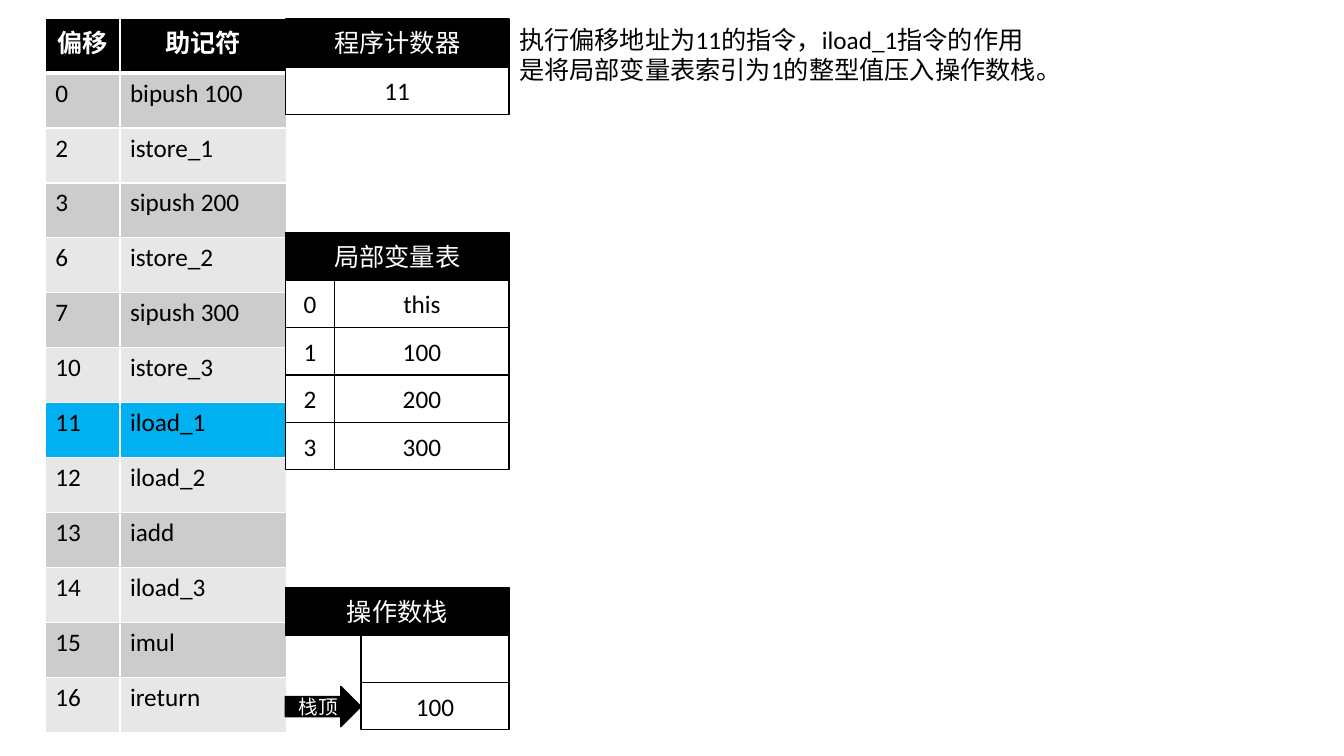
from dataclasses import dataclass
from lxml import etree
from pptx import Presentation
from pptx import util as u
from pptx.dml.color import RGBColor
from pptx.enum import shapes, text
from pptx.oxml import ns

SCALE = 4572
BLACK, WHITE, BLUE = "000000", "FFFFFF", "00B0F0"
BANDS = ("E7E7E7", "CCCCCC")
LEFT, WIDE, HIGH, STEM = 566, 444, 94, 150
INDEX = 98
ACTIVE = "11"


@dataclass
class Box:
    left: int
    top: int
    width: int
    height: int
    label: str
    fill: str = WHITE
    ink: str = BLACK
    size: int = 18
    kind: shapes.MSO_SHAPE = shapes.MSO_SHAPE.RECTANGLE


@dataclass
class Code:
    offset: str
    name: str


CODES = [
    Code("0", "bipush 100"),
    Code("2", "istore_1"),
    Code("3", "sipush 200"),
    Code("6", "istore_2"),
    Code("7", "sipush 300"),
    Code("10", "istore_3"),
    Code("11", "iload_1"),
    Code("12", "iload_2"),
    Code("13", "iadd"),
    Code("14", "iload_3"),
    Code("15", "imul"),
    Code("16", "ireturn"),
]


def px(count: int) -> u.Emu:
    return u.Emu(count * SCALE)


def paint(target, tone: str) -> None:
    target.solid()
    target.fore_color.rgb = RGBColor.from_string(tone)


def write(para, words: str, tone: str, size: int = 18, bold: bool = False) -> None:
    run = para.add_run()
    run.text = words
    run.font.name = "Calibri"
    run.font.size = u.Pt(size)
    run.font.bold = bold
    paint(run.font.fill, tone)


def edge(cell, row: int) -> None:
    props = cell._tc.get_or_add_tcPr()
    widths = {"L": 1, "R": 1, "T": 3 if row == 1 else 1, "B": 3 if row == 0 else 1}
    for place, (side, width) in enumerate(widths.items()):
        line = etree.Element(ns.qn(f"a:ln{side}"), w=str(u.Pt(width)))
        fill = etree.SubElement(line, ns.qn("a:solidFill"))
        etree.SubElement(fill, ns.qn("a:srgbClr"), val=WHITE)
        props.insert(place, line)


def draw_codes(slide) -> None:
    rows = [Code("偏移", "助记符"), *CODES]
    table = slide.shapes.add_table(
        len(rows), 2, px(90), px(36), px(478), px(109 * len(rows))
    ).table
    for col, width in zip(table.columns, (148, 330)):
        col.width = px(width)
    for i, code in enumerate(rows):
        table.rows[i].height = px(109)
        head = i == 0
        tone = BLACK if head else BLUE if code.offset == ACTIVE else BANDS[i % 2]
        for j, words in enumerate((code.offset, code.name)):
            cell = table.cell(i, j)
            paint(cell.fill, tone)
            edge(cell, i)
            para = cell.text_frame.paragraphs[0]
            para.alignment = text.PP_ALIGN.CENTER if head else text.PP_ALIGN.LEFT
            write(para, words, WHITE if head else BLACK, bold=head)


def draw_box(group, box: Box) -> None:
    shape = group.shapes.add_shape(
        box.kind, px(box.left), px(box.top), px(box.width), px(box.height)
    )
    shape.shadow.inherit = False
    paint(shape.fill, box.fill)
    paint(shape.line.fill, BLACK)
    shape.line.width = u.Pt(1)
    frame = shape.text_frame
    frame.word_wrap = True
    frame.margin_left = frame.margin_right = 0
    frame.margin_top = frame.margin_bottom = 0
    frame.vertical_anchor = text.MSO_ANCHOR.MIDDLE
    para = frame.paragraphs[0]
    para.alignment = text.PP_ALIGN.CENTER
    if box.label:
        write(para, box.label, box.ink, box.size)


def draw_group(slide, boxes: list[Box]) -> None:
    group = slide.shapes.add_group_shape()
    for box in boxes:
        draw_box(group, box)


def title(top: int, label: str) -> Box:
    return Box(LEFT, top, WIDE, HIGH, label, BLACK, WHITE)


def draw_locals(slide, top: int) -> None:
    boxes = [title(top, "局部变量表")]
    for i, value in enumerate(("this", "100", "200", "300")):
        y = top + HIGH * (i + 1)
        boxes.append(Box(LEFT + INDEX, y, WIDE - INDEX, HIGH, value))
        boxes.append(Box(LEFT, y, INDEX, HIGH, str(i)))
    draw_group(slide, boxes)


def draw_count(slide, top: int) -> None:
    draw_group(
        slide,
        [title(top, "程序计数器"), Box(LEFT, top + HIGH + 1, WIDE, HIGH, ACTIVE)],
    )


def draw_stack(slide, top: int) -> None:
    boxes = [title(top, "操作数栈")]
    for i, value in enumerate(("", "100"), 1):
        boxes.append(Box(LEFT + STEM, top + HIGH * i, WIDE - STEM, HIGH, value))
    arrow = shapes.MSO_SHAPE.RIGHT_ARROW
    boxes.append(
        Box(LEFT, top + HIGH * 2 + 8, STEM, 80, "栈顶", BLACK, WHITE, 14, arrow)
    )
    draw_group(slide, boxes)


def draw_note(slide, words: str) -> None:
    note = slide.shapes.add_textbox(px(LEFT + WIDE), px(38), px(1084), px(142))
    frame = note.text_frame
    frame.word_wrap = True
    frame.auto_size = text.MSO_AUTO_SIZE.SHAPE_TO_FIT_TEXT
    write(frame.paragraphs[0], words, BLACK)


def main() -> None:
    deck = Presentation()
    deck.slide_width, deck.slide_height = px(2666), px(1500)
    slide = deck.slides.add_slide(deck.slide_layouts[6])
    draw_codes(slide)
    draw_locals(slide, 462)
    draw_count(slide, 38)
    draw_stack(slide, 1166)
    draw_note(
        slide,
        "执行偏移地址为11的指令，iload_1指令的作用是将局部变量表索引为1的整型值压入操作数栈。",
    )
    deck.save("out.pptx")


if __name__ == "__main__":
    main()
